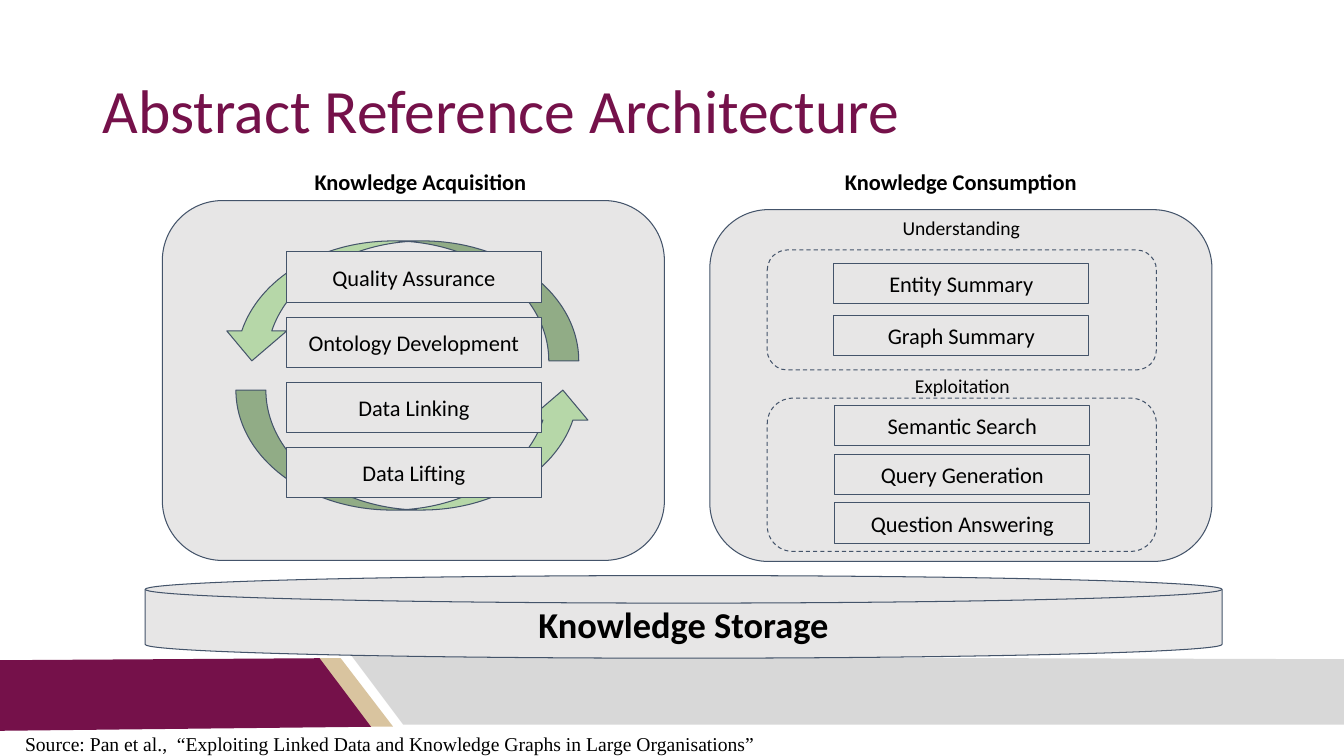
from dataclasses import dataclass

from pptx import Presentation
from pptx.dml.color import RGBColor
from pptx.enum.dml import MSO_LINE
from pptx.enum.shapes import MSO_SHAPE as SHAPE
from pptx.enum.text import MSO_ANCHOR as ANCHOR, MSO_AUTO_SIZE as AUTO, PP_ALIGN as ALIGN
from pptx.shapes.autoshape import Shape
from pptx.slide import Slide
from pptx.text.text import TextFrame
from pptx.util import Emu, Inches, Pt

COLORS = {"plum": "75114A", "sand": "D9C49F", "band": "D8D8D8", "panel": "E7E6E6",
          "outline": "44546A", "arrow": "B6D7A8", "ink": "000000"}

# The slide is a grid of square cells, a tenth of an inch each.
COLS, ROWS = 133.3, 75
CELL = Inches(0.1)


def cells(n: float) -> Emu:
    return Emu(round(n * CELL))


@dataclass(frozen=True)
class Box:
    col: float
    row: float
    cols: float
    rows: float

    def place(self) -> tuple[Emu, Emu, Emu, Emu]:
        return cells(self.col), cells(self.row), cells(self.cols), cells(self.rows)


@dataclass(frozen=True)
class TextStyle:
    size: int
    bold: bool = False
    font: str = "Calibri"
    color: str = "ink"
    align: ALIGN = ALIGN.CENTER


@dataclass(frozen=True)
class Band:
    color: str
    points: tuple[tuple[float, float], ...]


@dataclass(frozen=True)
class Label:
    text: str
    box: Box
    style: TextStyle


@dataclass(frozen=True)
class Stack:
    """Equal boxes, one under the other at a fixed pitch."""
    first: Box
    pitch: float
    names: tuple[str, ...]


TITLE = TextStyle(44, color="plum", align=ALIGN.LEFT)
STORAGE = TextStyle(26, bold=True)
HEADING = TextStyle(16, bold=True)
STEP = TextStyle(16)
GROUP = TextStyle(14)
SOURCE = TextStyle(14, font="Times New Roman", align=ALIGN.LEFT)

BANDS = (
    Band("sand", ((31.6, 65.3), (33.8, 65.3), (39, 72.1), (36.7, 72.1))),
    Band("plum", ((0, 65.5), (31.7, 65.3), (36.8, 72.1), (0, 72.5))),
    Band("band", ((COLS, 71.9), (40, 71.9), (34.9, 65.1), (COLS, 65.4))),
)
PANELS = (Box(16.1, 19.9, 49.8, 35.7), Box(70.4, 20.8, 49.8, 34.9))
CYCLE = ((Box(23.4, 38.7, 35.4, 11.9), 0), (Box(22, 23.9, 35.4, 11.9), 180))
GROUPS = (Box(76.1, 24.8, 38.6, 11.9), Box(76.1, 39.5, 38.6, 15.2))
STACKS = (
    Stack(Box(28.4, 25, 25.3, 5), 6.47,
          ("Quality Assurance", "Ontology Development", "Data Linking", "Data Lifting")),
    Stack(Box(82.7, 26.1, 25.3, 4), 5.2, ("Entity Summary", "Graph Summary")),
    Stack(Box(82.8, 40.2, 25.3, 4), 4.85,
          ("Semantic Search", "Query Generation", "Question Answering")),
)
LABELS = (
    Label("Understanding", Box(82.7, 20.4, 25.3, 4.4), GROUP),
    Label("Exploitation", Box(82.8, 36.1, 25.3, 4.4), GROUP),
    Label("Knowledge Acquisition", Box(24, 15.7, 35.4, 4.7), HEADING),
    Label("Knowledge Consumption", Box(77.6, 15.7, 35.4, 4.7), HEADING),
    Label("Source: Pan et al.,  “Exploiting Linked Data and Knowledge Graphs"
          " in Large Organisations”", Box(1.5, 71.6, 122.6, 4.4), SOURCE),
)


def rgb(name: str) -> RGBColor:
    return RGBColor.from_string(COLORS[name])


def write(tf: TextFrame, text: str, style: TextStyle, anchor: ANCHOR = ANCHOR.MIDDLE) -> None:
    tf.text = text
    tf.word_wrap = True
    tf.vertical_anchor = anchor
    tf.margin_left = tf.margin_right = tf.margin_top = tf.margin_bottom = cells(1)
    p = tf.paragraphs[0]
    p.alignment = style.align
    font = p.runs[0].font
    font.name, font.size, font.bold = style.font, Pt(style.size), style.bold
    font.color.rgb = rgb(style.color)


def add_band(slide: Slide, band: Band) -> None:
    start, *rest = [(cells(x), cells(y)) for x, y in band.points]
    builder = slide.shapes.build_freeform(*start)
    builder.add_line_segments(rest, close=True)
    sp = builder.convert_to_shape()
    sp.shadow.inherit = False
    sp.fill.solid()
    sp.fill.fore_color.rgb = rgb(band.color)
    sp.line.fill.background()


def add_outlined(slide: Slide, kind: SHAPE, box: Box, fill: str | None = "panel") -> Shape:
    """Add a thinly outlined shape; without a fill the outline is dashed."""
    sp = slide.shapes.add_shape(kind, *box.place())
    sp.shadow.inherit = False
    sp.line.color.rgb = rgb("outline")
    sp.line.width = Pt(0.75)
    if fill:
        sp.fill.solid()
        sp.fill.fore_color.rgb = rgb(fill)
    else:
        sp.fill.background()
        sp.line.dash_style = MSO_LINE.DASH
    return sp


def add_stack(slide: Slide, stack: Stack) -> None:
    first = stack.first
    for i, name in enumerate(stack.names):
        box = Box(first.col, first.row + i * stack.pitch, first.cols, first.rows)
        write(add_outlined(slide, SHAPE.RECTANGLE, box).text_frame, name, STEP)


def add_label(slide: Slide, label: Label) -> None:
    tf = slide.shapes.add_textbox(*label.box.place()).text_frame
    write(tf, label.text, label.style, ANCHOR.TOP)
    tf.auto_size = AUTO.SHAPE_TO_FIT_TEXT


def add_title(slide: Slide, text: str, box: Box) -> None:
    title = slide.shapes.title
    title.left, title.top, title.width, title.height = box.place()
    write(title.text_frame, text, TITLE)
    title.text_frame.paragraphs[0].line_spacing = 0.9


def main() -> None:
    prs = Presentation()
    prs.slide_width, prs.slide_height = cells(COLS), cells(ROWS)
    slide = prs.slides.add_slide(prs.slide_layouts[5])

    for band in BANDS:
        add_band(slide, band)
    add_title(slide, "Abstract Reference Architecture", Box(9.2, 4, 115, 14.5))

    storage = add_outlined(slide, SHAPE.FLOWCHART_MAGNETIC_DISK, Box(14.4, 57.1, 106.8, 8.2))
    write(storage.text_frame, "Knowledge Storage", STORAGE)
    for panel in PANELS:
        add_outlined(slide, SHAPE.ROUNDED_RECTANGLE, panel)
    for box, rotation in CYCLE:
        add_outlined(slide, SHAPE.CURVED_UP_ARROW, box, "arrow").rotation = rotation
    for group in GROUPS:
        add_outlined(slide, SHAPE.ROUNDED_RECTANGLE, group, fill=None)
    for stack in STACKS:
        add_stack(slide, stack)
    for label in LABELS:
        add_label(slide, label)

    prs.save("out.pptx")


if __name__ == "__main__":
    main()
